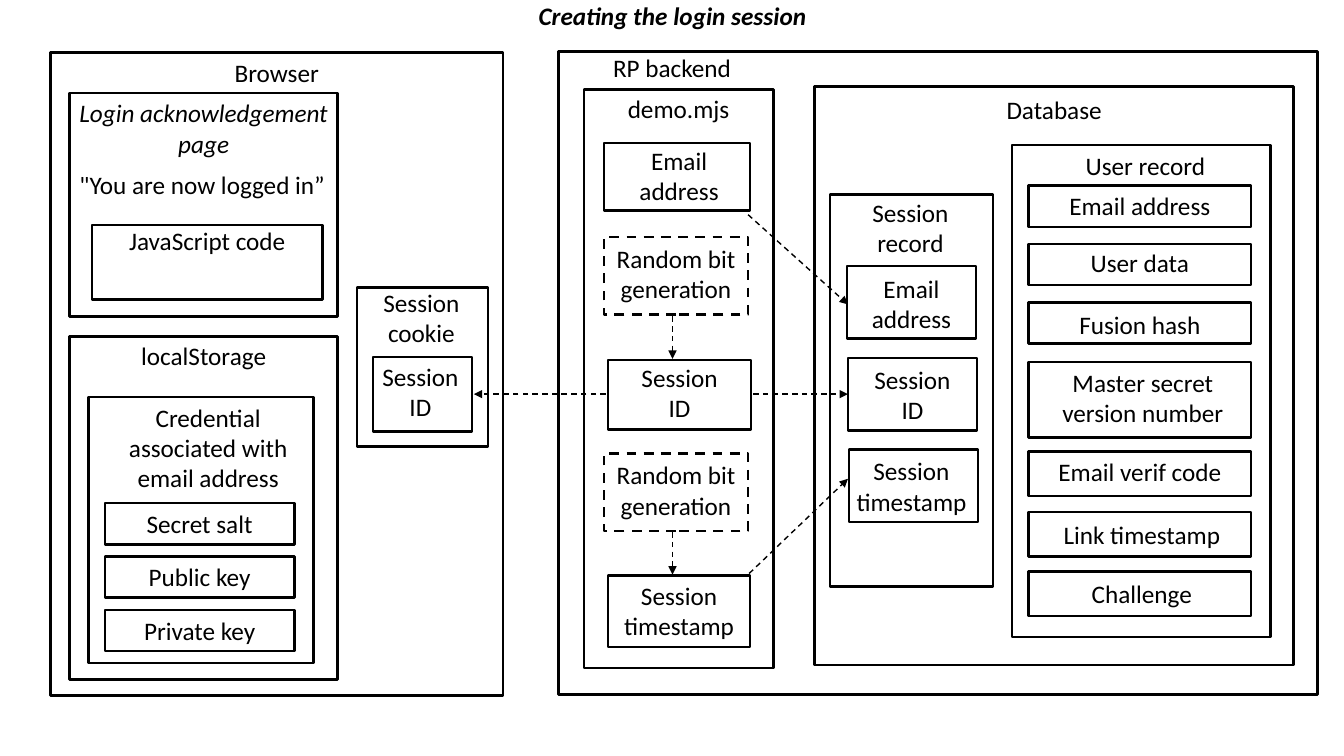
"""Build the slide that shows how the login session is created."""
from lxml import etree
from pptx import Presentation
from pptx.dml.color import RGBColor
from pptx.enum.dml import MSO_LINE
from pptx.enum.shapes import MSO_CONNECTOR, MSO_SHAPE
from pptx.enum.text import MSO_ANCHOR, MSO_AUTO_SIZE, PP_ALIGN
from pptx.oxml.ns import qn
from pptx.util import Inches, Pt

BLACK = RGBColor(0, 0, 0)
FONT = "Calibri"
DASH = MSO_LINE.DASH
RECTANGLE = MSO_SHAPE.RECTANGLE
STRAIGHT = MSO_CONNECTOR.STRAIGHT
CENTER = PP_ALIGN.CENTER
LEFT = PP_ALIGN.LEFT
TOP = MSO_ANCHOR.TOP
MIDDLE = MSO_ANCHOR.MIDDLE
NO_AUTO_SIZE = MSO_AUTO_SIZE.NONE
SIDE_INSET = 0.05


def write(shape, text, anchor=TOP, alignment=CENTER, italic=False, bold=False):
    """Fill a shape with one paragraph per line of text."""
    frame = shape.text_frame
    frame.word_wrap = True
    frame.auto_size = NO_AUTO_SIZE
    frame.vertical_anchor = anchor
    for index, line in enumerate(text.split("\n")):
        paragraph = frame.paragraphs[0] if index == 0 else frame.add_paragraph()
        paragraph.alignment = alignment
        run = paragraph.add_run()
        run.text = line
        run.font.name = FONT
        run.font.size = Pt(18)
        run.font.color.rgb = BLACK
        run.font.italic = italic
        run.font.bold = bold


def add_box(left, top, width, height, text, text_top=0.05, shift=0, dashed=False, italic=False):
    """Add an outlined box whose text starts text_top below its edge, moved sideways by shift."""
    box = slide.shapes.add_shape(
        RECTANGLE, Inches(left), Inches(top), Inches(width), Inches(height))
    box.shadow.inherit = False
    box.fill.background()
    box.line.color.rgb = BLACK
    box.line.width = Pt(1.75)
    if dashed:
        box.line.dash_style = DASH
    frame = box.text_frame
    frame.margin_left = Inches(SIDE_INSET + max(2 * shift, 0))
    frame.margin_right = Inches(SIDE_INSET + max(-2 * shift, 0))
    frame.margin_top = Inches(text_top)
    frame.margin_bottom = 0
    write(box, text, italic=italic)


presentation = Presentation()
presentation.slide_width = Inches(13.33)
presentation.slide_height = Inches(7.5)
slide = presentation.slides.add_slide(presentation.slide_layouts[5])

title = slide.shapes.title
title.left, title.top = Inches(0.92), Inches(-0.09)
title.width, title.height = Inches(11.5), Inches(0.53)
write(title, "Creating the login session", MIDDLE, italic=True, bold=True)
title.text_frame.paragraphs[0].line_spacing = 0.9

browser_boxes = [
    (0.5, 0.52, 4.49, 6.38, "Browser"),
    (0.69, 0.92, 2.66, 2.22, "Login acknowledgement page", 0.05, 0, False, True),
    (0.91, 2.23, 2.29, 0.74, "JavaScript code", 0.01),
    (0.69, 3.34, 2.66, 3.4, "localStorage", 0.04),
    (0.88, 3.94, 2.23, 2.64, "Credential associated with\nemail address", 0.05, 0.07),
    (3.54, 2.85, 1.3, 1.58, "Session\ncookie", 0, -0.01),
    (3.7, 3.54, 0.98, 0.74, "Session\nID", 0.04, -0.02),
]
backend_boxes = [
    (5.54, 0.51, 7.53, 6.38, ""),
    (5.79, 0.89, 1.88, 5.74, "demo.mjs", 0.04),
    (5.99, 1.42, 1.45, 0.67, "Email address", 0.02, 0.02),
    (5.99, 2.35, 1.43, 0.77, "Random bit generation", 0.06, 0, True),
    (6.03, 3.57, 1.42, 0.69, "Session\nID", 0.02),
    (5.99, 4.5, 1.43, 0.77, "Random bit generation", 0.06, 0, True),
    (6.03, 5.71, 1.41, 0.71, "Session timestamp"),
]
database_boxes = [
    (8.08, 0.86, 4.75, 5.74, "Database", 0.08),
    (8.23, 1.93, 1.62, 3.89, "Session\nrecord", 0.03, -0.01),
    (8.4, 2.64, 1.28, 0.72, "Email\naddress", 0.07),
    (8.41, 3.55, 1.28, 0.72, "Session\nID", 0.06),
    (8.42, 4.46, 1.28, 0.72, "Session\ntimestamp", 0.06, -0.02),
    (10.04, 1.44, 2.56, 4.88, "User record", 0.05, 0.04),
]
for box in browser_boxes + backend_boxes + database_boxes:
    add_box(*box)

for index, name in enumerate(["Secret salt", "Public key", "Private key"]):
    add_box(1.04, 4.99 + 0.53 * index, 1.88, 0.41, name)

user_fields = [
    (1.84, 0.41, "Email address", 0.05, 0),
    (2.42, 0.41, "User data", 0.03, 0),
    (3, 0.41, "Fusion hash", 0.07, 0),
    (3.59, 0.75, "Master secret version number", 0.05, 0.03),
    (4.48, 0.44, "Email verif code", 0.05, 0),
    (5.08, 0.44, "Link timestamp", 0.07, 0.02),
    (5.67, 0.44, "Challenge", 0.07, 0.02),
]
for top, height, name, text_top, shift in user_fields:
    add_box(10.2, top, 2.21, height, name, text_top, shift)

labels = [
    (5.79, 0.47, 1.75, "RP backend", CENTER),
    (0.69, 1.63, 2.66, "\"You are now logged in\u201d", LEFT),
]
for left, top, width, text, alignment in labels:
    label = slide.shapes.add_textbox(Inches(left), Inches(top), Inches(width), Inches(0.4))
    write(label, text, alignment=alignment)

arrows = [
    (6.67, 3.14, 6.67, 3.56),
    (6.67, 5.28, 6.67, 5.7),
    (7.42, 2.13, 8.41, 3.02),
    (7.47, 3.91, 8.41, 3.91),
    (7.43, 5.69, 8.41, 4.75),
    (6.01, 3.91, 4.7, 3.91),
]
for ends in arrows:
    arrow = slide.shapes.add_connector(STRAIGHT, *[Inches(end) for end in ends])
    arrow.line.color.rgb = BLACK
    arrow.line.width = Pt(1)
    arrow.line.dash_style = DASH
    properties = arrow.element.spPr
    etree.SubElement(properties.find(qn("a:ln")), qn("a:tailEnd"), type="triangle")
    etree.SubElement(properties, qn("a:effectLst"))

presentation.save("out.pptx")
